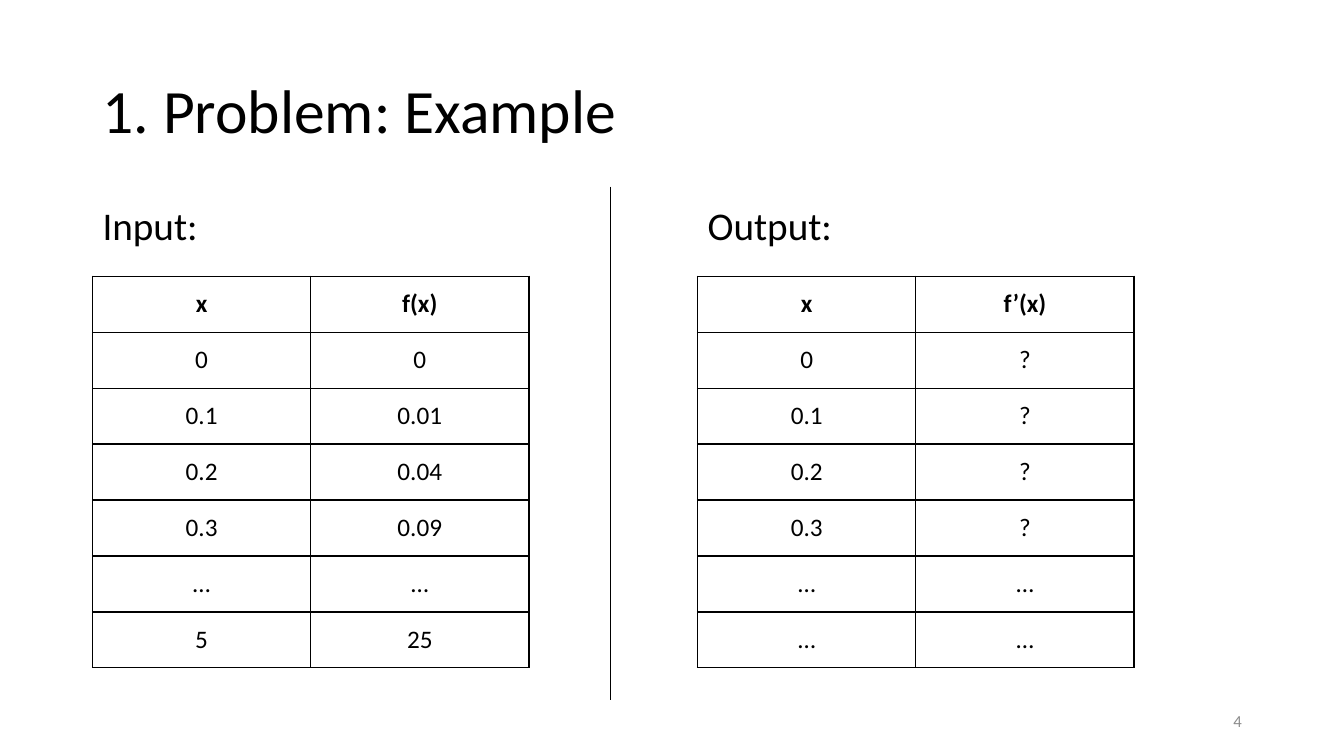
from lxml.etree import SubElement
from pptx import Presentation
from pptx.dml.color import RGBColor
from pptx.enum.shapes import MSO_CONNECTOR as CONN
from pptx.enum.text import MSO_ANCHOR as ANCHOR, MSO_AUTO_SIZE as AUTO, PP_ALIGN as ALIGN
from pptx.oxml.ns import qn
from pptx.util import Cm, Pt

BLACK, WHITE, GREY = "000000", "FFFFFF", "8C8C8C"
LABEL_H, ROW_H = 1.88, 1.41


def color(value):
    return RGBColor.from_string(value)


def place(sp, x, y, w, h):
    sp.left, sp.top, sp.width, sp.height = Cm(x), Cm(y), Cm(w), Cm(h)


def write(tf, text, size, align=ALIGN.LEFT, fill=BLACK, bold=False):
    tf.text = text
    p = tf.paragraphs[0]
    p.alignment = align
    font = p.runs[0].font
    font.name, font.size, font.bold = "Calibri", Pt(size), bold
    font.color.rgb = color(fill)
    return p


def add_title(sp, text, x, y, w, h):
    place(sp, x, y, w, h)
    tf = sp.text_frame
    tf.auto_size = AUTO.NONE
    tf.vertical_anchor = ANCHOR.MIDDLE
    write(tf, text, 44).line_spacing = 0.9


def add_label(sp, text, x, y, w, h):
    place(sp, x, y, w, h)
    tf = sp.text_frame
    tf.auto_size = AUTO.NONE
    tf.vertical_anchor = ANCHOR.TOP
    p = write(tf, text, 28)
    p.line_spacing, p.space_before = 0.9, Pt(10)
    pPr = p._p.get_or_add_pPr()
    pPr.set("marL", "0")
    pPr.set("indent", "0")
    SubElement(pPr, qn("a:buNone"))


def add_borders(cell):
    tcPr = cell._tc.get_or_add_tcPr()
    for side in ("L", "R", "T", "B"):
        ln = SubElement(tcPr, qn(f"a:ln{side}"), w=str(Pt(1)))
        fill = SubElement(ln, qn("a:solidFill"))
        SubElement(fill, qn("a:srgbClr"), val=BLACK)


def add_values(s, rows, x, y, w):
    size = len(rows), len(rows[0])
    table = s.shapes.add_table(*size, Cm(x), Cm(y), Cm(w), Cm(ROW_H * size[0])).table
    for row in table.rows:
        row.height = Cm(ROW_H)
    for i, values in enumerate(rows):
        for j, value in enumerate(values):
            cell = table.cell(i, j)
            add_borders(cell)
            cell.fill.solid()
            cell.fill.fore_color.rgb = color(WHITE)
            cell.vertical_anchor = ANCHOR.MIDDLE
            write(cell.text_frame, value, 18, ALIGN.CENTER, bold=i == 0)


def add_column(s, sp, label, rows, x, y, w):
    add_label(sp, label, x, y, w, LABEL_H)
    add_values(s, rows, x, y + LABEL_H, w)


def add_divider(s, x, y, h):
    line = s.shapes.add_connector(CONN.STRAIGHT, Cm(x), Cm(y), Cm(x), Cm(y + h))
    line.line.color.rgb = color(BLACK)
    line.line.width = Pt(0.5)
    SubElement(line._element.spPr, qn("a:effectLst"))


def add_page_number(s, number, x, y, w, h):
    tf = s.shapes.add_textbox(Cm(x), Cm(y), Cm(w), Cm(h)).text_frame
    tf.word_wrap = True
    tf.vertical_anchor = ANCHOR.MIDDLE
    write(tf, number, 12, ALIGN.RIGHT, GREY)


def add_example_slide(prs):
    s = prs.slides.add_slide(prs.slide_layouts[3])
    title, left, right = s.placeholders
    inputs = [("x", "f(x)"), ("0", "0"), ("0.1", "0.01"), ("0.2", "0.04"),
              ("0.3", "0.09"), ("…", "…"), ("5", "25")]
    outputs = [("x", "f’(x)"), ("0", "?"), ("0.1", "?"), ("0.2", "?"),
               ("0.3", "?"), ("…", "…"), ("…", "…")]
    add_title(title, "1. Problem: Example", 2.33, 1.02, 29.21, 3.68)
    add_column(s, left, "Input:", inputs, 2.33, 5.08, 11)
    add_divider(s, 15.37, 4.7, 12.95)
    add_column(s, right, "Output:", outputs, 17.58, 5.08, 11)
    add_page_number(s, "4", 23.93, 17.65, 7.62, 1.02)


def main():
    prs = Presentation()
    prs.slide_width, prs.slide_height = Cm(33.87), Cm(19.05)
    add_example_slide(prs)
    prs.save("out.pptx")


if __name__ == "__main__":
    main()
